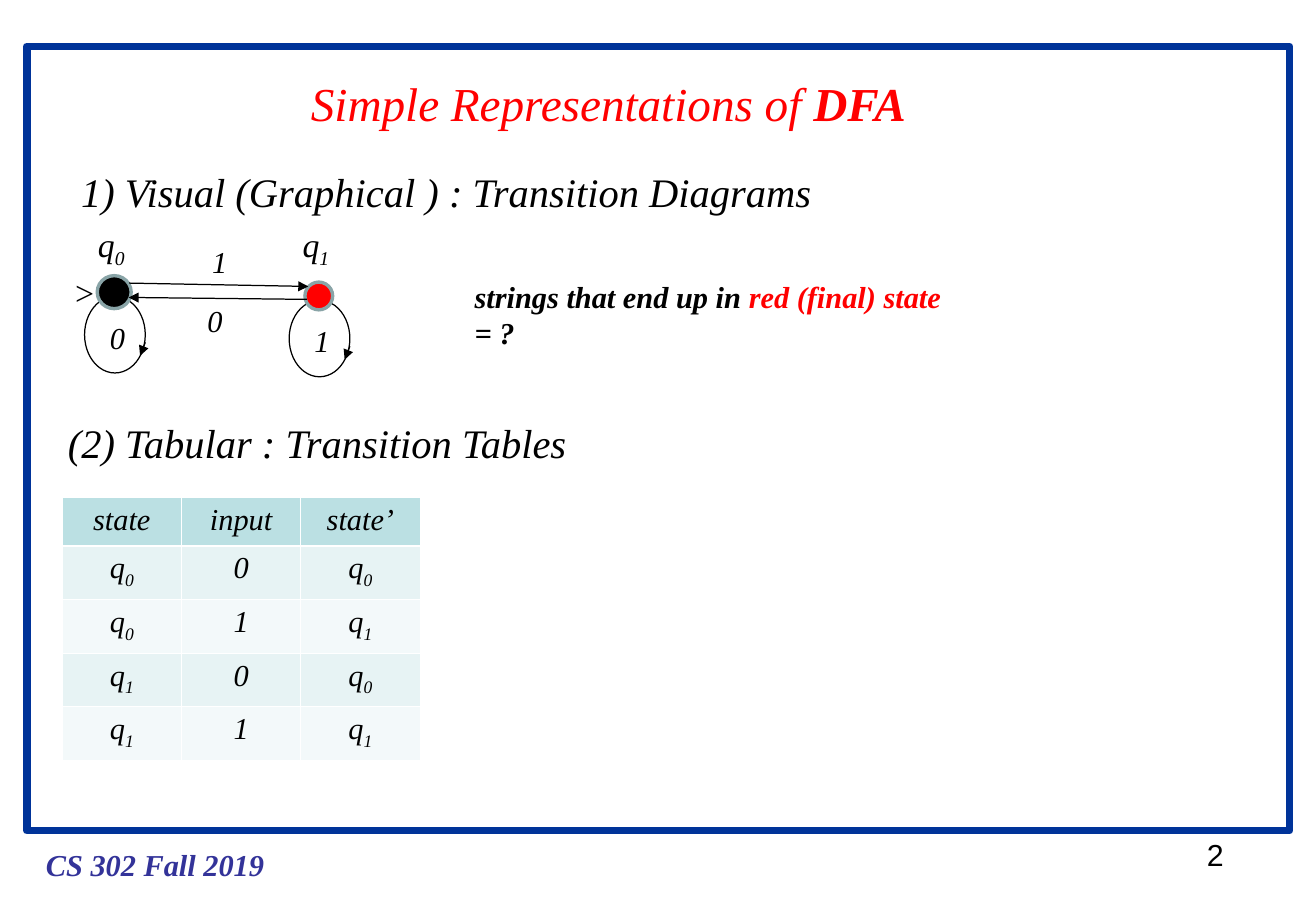
from lxml import etree
from pptx import Presentation
from pptx.dml.color import RGBColor
from pptx.enum.shapes import MSO_CONNECTOR, MSO_SHAPE
from pptx.enum.text import MSO_ANCHOR, MSO_AUTO_SIZE, PP_ALIGN
from pptx.oxml.ns import qn
from pptx.util import Cm, Pt

STRAIGHT = MSO_CONNECTOR.STRAIGHT
OVAL, RECT = MSO_SHAPE.OVAL, MSO_SHAPE.RECTANGLE
TOP, MIDDLE_LEFT, CENTER = MSO_ANCHOR.TOP, PP_ALIGN.LEFT, PP_ALIGN.CENTER
NO_FIT = MSO_AUTO_SIZE.NONE

BLACK = RGBColor(0x00, 0x00, 0x00)
WHITE = RGBColor(0xFF, 0xFF, 0xFF)
RED = RGBColor(0xFF, 0x00, 0x00)
NAVY = RGBColor(0x00, 0x33, 0x99)
INDIGO = RGBColor(0x33, 0x33, 0x99)
RING = RGBColor(0x89, 0xA4, 0xA7)
HEADER = RGBColor(0xBB, 0xE0, 0xE3)
BANDS = (RGBColor(0xE7, 0xF3, 0xF4), RGBColor(0xF3, 0xF9, 0xFA))

BODY = {"name": "Times New Roman", "size": Pt(18), "italic": True, "bold": False, "color": BLACK}
HEADING = {**BODY, "size": Pt(24)}
STATE_NAME = {**BODY, "size": Pt(20)}


def write(p, runs, fmt):
    """Add (text, changes) runs to a paragraph; a "sub" change lowers the run."""
    for text, changes in runs:
        r = p.add_run()
        r.text = text
        for key, value in {**fmt, **changes}.items():
            if key == "color":
                r.font.color.rgb = value
            elif key == "sub":
                r._r.get_or_add_rPr().set("baseline", "-25000")
            else:
                setattr(r.font, key, value)


def symbol(name):
    """Return the runs of a symbol such as q0, with its index lowered."""
    return [(name[0], {})] + [(index, {"sub": True}) for index in name[1:]]


def add_text(s, box, runs, fmt, wrap=False):
    """Add a text box and return its paragraph."""
    tf = s.shapes.add_textbox(*map(Cm, box)).text_frame
    tf.word_wrap = wrap
    p = tf.paragraphs[0]
    write(p, runs, fmt)
    return p


def add_outline(s, kind, box, color, width, fill=None):
    """Add an outlined shape, filled when a colour is given."""
    sp = s.shapes.add_shape(kind, *map(Cm, box))
    sp.shadow.inherit = False
    sp.line.color.rgb = color
    sp.line.width = Pt(width)
    if fill is None:
        sp.fill.background()
    else:
        sp.fill.solid()
        sp.fill.fore_color.rgb = fill


def add_arrow(s, x1, y1, x2, y2):
    """Add a thin black arrow."""
    c = s.shapes.add_connector(STRAIGHT, Cm(x1), Cm(y1), Cm(x2), Cm(y2))
    c.line.color.rgb = BLACK
    c.line.width = Pt(0.75)
    etree.SubElement(c.line._get_or_add_ln(), qn("a:tailEnd"), type="triangle")
    etree.SubElement(c._element.spPr, qn("a:effectLst"))


def add_frame(s, x, y, w, h):
    """Draw the slide frame with the course name and page number below it."""
    add_outline(s, RECT, (x, y, w, h), NAVY, 4.5)
    add_text(s, (x + 0.15, y + h + 0.2, 5.08, 1.02), [("CS 302 Fall 2019", {})],
             {**BODY, "bold": True, "color": INDIGO})
    add_text(s, (x + w - 1.98, y + h, 0.86, 1.02), [("2", {})],
             {**BODY, "name": "Arial", "italic": False})


def add_title(s, x, y, w, h):
    """Place the title placeholder and fill it."""
    sp = s.shapes.title
    sp.left, sp.top, sp.width, sp.height = map(Cm, (x, y, w, h))
    tf = sp.text_frame
    for key, value in {"word_wrap": False, "auto_size": NO_FIT, "vertical_anchor": TOP}.items():
        setattr(tf, key, value)
    p = tf.paragraphs[0]
    p.alignment = MIDDLE_LEFT
    write(p, [("Simple Representations of ", {}), ("DFA", {"bold": True})],
          {**BODY, "size": Pt(28), "color": RED})


def add_heading(s, box, text, numbered=False):
    """Add an indented section heading, numbered automatically if asked."""
    p = add_text(s, box, [(text, {})], HEADING, wrap=numbered)
    p.line_spacing = 1.5
    p.level = 1
    pPr = p._p.get_or_add_pPr()
    pPr.set("marL", str(Cm(1.27)))
    pPr.set("indent", "0")
    if numbered:
        etree.SubElement(pPr, qn("a:buAutoNum"), type="arabicParenR")


def add_state(s, cx, cy, w, h, fill, name, loop, name_top):
    """Draw one state around its centre, with its name and its loop."""
    add_outline(s, OVAL, (cx - 0.62, cy + 0.09, 1.27, 1.6), BLACK, 0.75)
    add_arrow(s, cx + 0.65, cy + 1.05, cx + 0.54, cy + 1.33)
    add_outline(s, OVAL, (cx - w / 2, cy - h / 2, w, h), RING, 2, fill)
    add_text(s, (cx - 0.34, cy + 0.43, 0.81, 1.02), symbol(loop), BODY)
    add_text(s, (cx - 0.59, name_top, 1.07, 1.22), symbol(name), STATE_NAME)


def add_diagram(s, x, y):
    """Draw the transition diagram from its top left corner."""
    add_state(s, x + 1.09, y + 1.56, 0.71, 0.69, BLACK, "q0", "0", y)
    add_state(s, x + 5.37, y + 1.64, 0.58, 0.58, RED, "q1", "1", y)
    add_arrow(s, x + 1.4, y + 1.37, x + 5.15, y + 1.44)
    add_arrow(s, x + 5.12, y + 1.71, x + 1.39, y + 1.67)
    add_text(s, (x + 2.89, y + 0.4, 0.81, 1.02), symbol("1"), BODY)
    add_text(s, (x + 2.79, y + 1.65, 0.81, 1.02), symbol("0"), BODY)
    add_text(s, (x + 0.02, y + 1.01, 0.89, 1.12), symbol(">"),
             {**STATE_NAME, "italic": False})


def set_borders(cell, widths):
    """Give a cell white left, right, top and bottom borders."""
    tcPr = cell._tc.get_or_add_tcPr()
    for i, (side, width) in enumerate(zip("LRTB", widths)):
        ln = etree.Element(qn(f"a:ln{side}"), w=str(Pt(width)))
        fill = etree.SubElement(ln, qn("a:solidFill"))
        etree.SubElement(fill, qn("a:srgbClr"), val=str(WHITE))
        tcPr.insert(i, ln)


def add_transitions(s, x, y, w, h):
    """Add the transition table."""
    rows = [("q0", "0", "q0"), ("q0", "1", "q1"), ("q1", "0", "q0"), ("q1", "1", "q1")]
    header = [[(text, {})] for text in ("state", "input", "state’")]
    body = [[symbol(text) for text in row] for row in rows]
    table = s.shapes.add_table(5, 3, Cm(x), Cm(y), Cm(w), Cm(h)).table
    table.first_row = table.horz_banding = False
    for col in table.columns:
        col.width = Cm(w / 3)
    for i, row in enumerate([header] + body):
        table.rows[i].height = Cm(1.12 if i else 1.02)
        for j, runs in enumerate(row):
            cell = table.cell(i, j)
            cell.fill.solid()
            cell.fill.fore_color.rgb = BANDS[(i - 1) % 2] if i else HEADER
            set_borders(cell, (0.45, 0.45, 1.47 if i == 1 else 0.45, 0.45 if i else 1.47))
            p = cell.text_frame.paragraphs[0]
            p.alignment = CENTER
            write(p, runs, BODY)


def main():
    """Build the slide and save it."""
    prs = Presentation()
    prs.slide_width, prs.slide_height = Cm(27.53), Cm(19.05)
    s = prs.slides.add_slide(prs.slide_layouts[5])
    add_frame(s, 0.56, 0.97, 26.42, 16.4)
    add_title(s, 6.25, 1.42, 13.34, 1.45)
    add_heading(s, (0.18, 2.87, 17.88, 1.78), " Visual (Graphical ) : Transition Diagrams", True)
    add_diagram(s, 1.3, 4.55)
    add_text(s, (9.68, 5.69, 11.25, 1.02),
             [("strings that end up in ", {}), ("red (final) state ", {"color": RED}),
              ("= ?", {})], {**BODY, "bold": True})
    add_heading(s, (-0.1, 8.1, 12.62, 1.78), "(2) Tabular : Transition Tables")
    add_transitions(s, 1.3, 10.39, 7.49, 5.5)
    prs.save("out.pptx")


if __name__ == "__main__":
    main()
